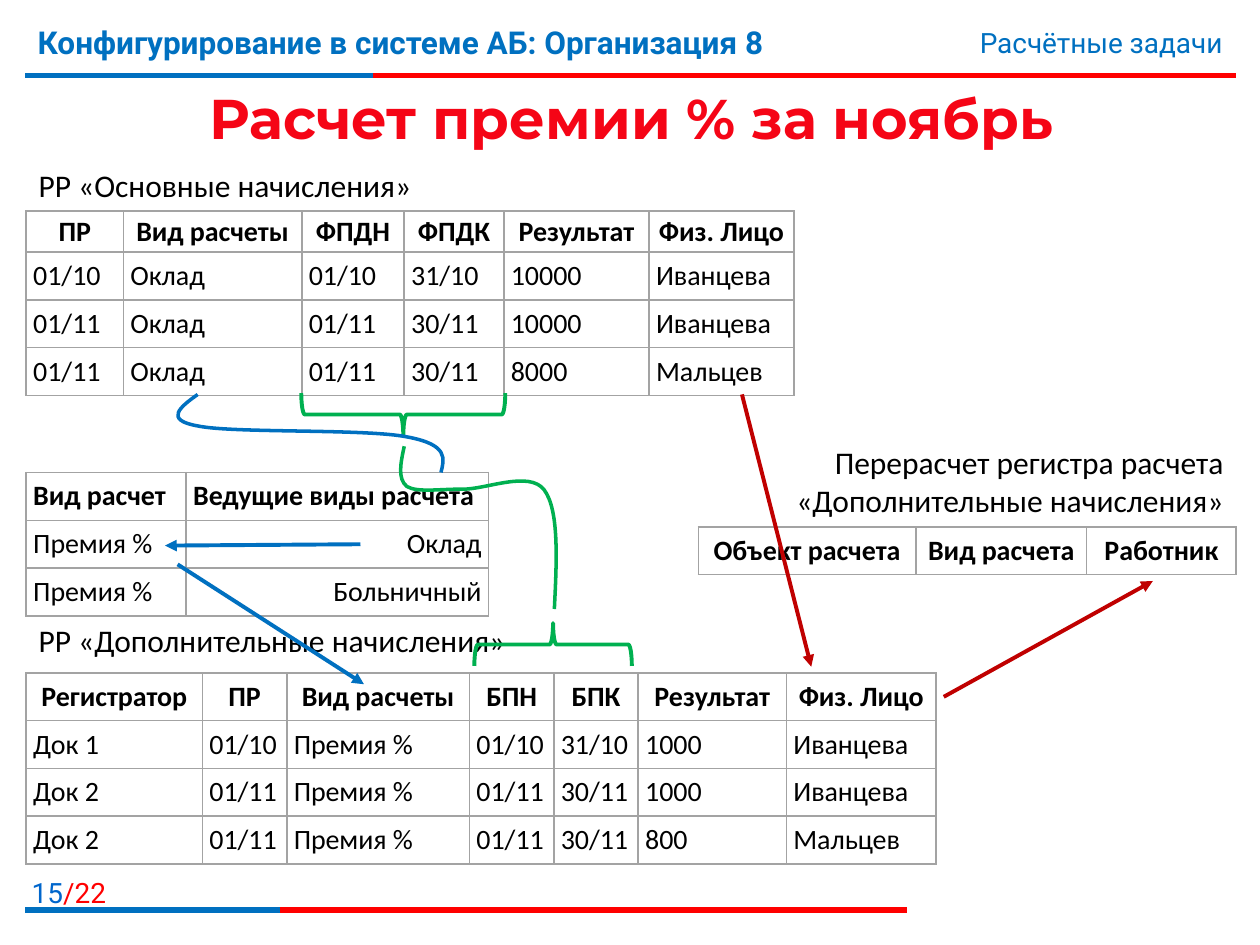
from dataclasses import dataclass

from lxml import etree
from pptx import Presentation
from pptx import util as u
from pptx.dml import color
from pptx.enum import shapes, text
from pptx.oxml import ns

Pt = u.Pt
LEFT, CENTER, RIGHT = text.PP_ALIGN.LEFT, text.PP_ALIGN.CENTER, text.PP_ALIGN.RIGHT


@dataclass(frozen=True)
class Theme:
    blue: str = "0070C0"
    number_blue: str = "0066CC"
    red: str = "FF0000"
    title_red: str = "F50516"
    dark_red: str = "C00000"
    green: str = "00B050"
    black: str = "000000"
    border: str = "A3A3A3"
    heading_font: str = "Montserrat"
    header_font: str = "Roboto"
    body_font: str = "Calibri"
    title_size: int = 32
    label_size: int = 18
    cell_size: int = 16


THEME = Theme()


def rgb(value):
    return color.RGBColor.from_string(value)


def apply(target, values):
    for name, value in values.items():
        setattr(target, name, value)


def child(parent, tag, **attributes):
    return etree.SubElement(parent, ns.qn(tag), attributes)


def format_font(font, name, size, ink, bold=False):
    apply(font, {"name": name, "size": Pt(size), "bold": bold})
    font.color.rgb = rgb(ink)


def add_title(slide, wording):
    title = slide.shapes.title
    apply(title, {"left": Pt(15), "top": Pt(45.4), "width": Pt(692), "height": Pt(43.2)})
    frame = title.text_frame
    apply(frame, {"text": wording, "vertical_anchor": text.MSO_ANCHOR.MIDDLE,
                  "auto_size": text.MSO_AUTO_SIZE.NONE})
    paragraph = frame.paragraphs[0]
    paragraph.alignment = CENTER
    font = paragraph.runs[0].font
    apply(font, {"name": THEME.heading_font, "size": Pt(THEME.title_size), "bold": True})
    font.fill.gradient()
    font.fill.gradient_angle = 270
    stops = ((0.55, THEME.title_red), (0.86, THEME.dark_red))
    for stop, (position, ink) in zip(font.fill.gradient_stops, stops):
        stop.position = position
        stop.color.rgb = rgb(ink)


def add_text(slide, box, runs, name, size, align=LEFT, bold=False):
    """Add a one-paragraph text box; runs are (wording, colour) pairs."""
    frame = slide.shapes.add_textbox(*map(Pt, box)).text_frame
    frame.word_wrap = True
    paragraph = frame.paragraphs[0]
    paragraph.alignment = align
    for wording, ink in runs:
        run = paragraph.add_run()
        run.text = wording
        format_font(run.font, name, size, ink, bold)


def add_label(slide, box, wording, align=LEFT):
    add_text(slide, box, [(wording, THEME.black)], THEME.body_font, THEME.label_size, align)


def add_line(slide, start, end, ink, width=2.25, arrow=False):
    line = slide.shapes.add_connector(
        shapes.MSO_CONNECTOR.STRAIGHT, *map(Pt, (*start, *end)))
    line.line.color.rgb = rgb(ink)
    line.line.width = Pt(width)
    if arrow:
        child(line.line._get_or_add_ln(), "a:tailEnd", type="triangle")
    child(line._element.spPr, "a:effectLst")


def add_rule(slide, top, blue_end, red_end):
    """Draw a red rule whose first part is blue."""
    for end, ink in ((red_end, THEME.red), (blue_end, THEME.blue)):
        add_line(slide, (14.5, top), (end, top), ink, 3)


def format_cell(cell, wording, align, bold, inset):
    apply(cell, {"text": wording, "margin_left": Pt(4), "margin_right": Pt(4),
                 "margin_top": Pt(inset), "margin_bottom": Pt(inset)})
    paragraph = cell.text_frame.paragraphs[0]
    paragraph.alignment = align
    format_font(paragraph.runs[0].font, THEME.body_font, THEME.cell_size, THEME.black, bold)
    properties = cell._tc.get_or_add_tcPr()
    for side in ("a:lnL", "a:lnR", "a:lnT", "a:lnB"):
        edge = child(properties, side, w=str(Pt(1)))
        child(child(edge, "a:solidFill"), "a:srgbClr", val=THEME.border)
    cell.fill.background()


def add_table(slide, left, top, widths, rows, header_align=CENTER,
              header_height=27.3, header_inset=3.9, last_align=LEFT):
    heights = [header_height] + [27.3] * (len(rows) - 1)
    table = slide.shapes.add_table(
        len(rows), len(widths), Pt(left), Pt(top), Pt(sum(widths)), Pt(sum(heights))).table
    apply(table, {"first_row": False, "horz_banding": False})
    for column, width in zip(table.columns, widths):
        column.width = Pt(width)
    for index, wordings in enumerate(rows):
        table.rows[index].height = Pt(heights[index])
        for position, wording in enumerate(wordings):
            cell = table.cell(index, position)
            if index == 0:
                format_cell(cell, wording, header_align, True, header_inset)
            else:
                align = last_align if position == len(widths) - 1 else LEFT
                format_cell(cell, wording, align, False, 3.9)


def add_brace(slide, box, rotation):
    brace = slide.shapes.add_shape(shapes.MSO_SHAPE.RIGHT_BRACE, *map(Pt, box))
    brace.rotation = rotation
    brace.shadow.inherit = False
    brace.fill.background()
    brace.line.color.rgb = rgb(THEME.green)
    brace.line.width = Pt(2.25)


def add_curve(slide, points, ink):
    """Draw a Bezier chain: a start point, then three points for each curve."""
    start, *rest = [(Pt(x), Pt(y)) for x, y in points]
    builder = slide.shapes.build_freeform(*start, scale=1.0)
    builder.add_line_segments(rest, close=False)
    curve = builder.convert_to_shape()
    outline = curve._element.find(".//" + ns.qn("a:path"))
    segments = outline.findall(ns.qn("a:lnTo"))
    for first in range(0, len(segments), 3):
        bezier = child(outline, "a:cubicBezTo")
        for segment in segments[first:first + 3]:
            bezier.append(segment[0])
            outline.remove(segment)
    curve.shadow.inherit = False
    curve.fill.background()
    curve.line.color.rgb = rgb(ink)
    curve.line.width = Pt(2)


def add_header_and_footer(slide):
    add_rule(slide, 43, 213, 706.3)
    add_rule(slide, 520, 160, 518.5)
    add_text(slide, (0, 496.8, 67.7, 23), [("15", THEME.number_blue), ("/22", THEME.red)],
             THEME.header_font, 16, RIGHT)
    add_text(slide, (14.4, 9.4, 533, 44.6),
             [("Конфигурирование в системе АБ: Организация 8", THEME.blue)],
             THEME.header_font, 18, bold=True)
    add_text(slide, (427.7, 10.8, 278, 26.6), [("Расчётные задачи", THEME.blue)],
             THEME.header_font, 16, RIGHT)


def add_registers(slide):
    add_table(slide, 15, 120.7, [55.5, 102, 58.5, 57, 83, 82.7], [
        ["ПР", "Вид расчеты", "ФПДН", "ФПДК", "Результат", "Физ. Лицо"],
        ["01/10", "Оклад", "01/10", "31/10", "10000", "Иванцева"],
        ["01/11", "Оклад", "01/11", "30/11", "10000", "Иванцева"],
        ["01/11", "Оклад", "01/11", "30/11", "8000", "Мальцев"],
    ], header_height=23.4, header_inset=1.9)
    add_label(slide, (15, 91.4, 401, 29), "РР «Основные начисления»")
    add_table(slide, 15, 384.5, [100.7, 48.2, 104.4, 48.2, 48.2, 84.7, 85.6], [
        ["Регистратор", "ПР", "Вид расчеты", "БПН", "БПК", "Результат", "Физ. Лицо"],
        ["Док 1", "01/10", "Премия %", "01/10", "31/10", "1000", "Иванцева"],
        ["Док 2", "01/11", "Премия %", "01/11", "30/11", "1000", "Иванцева"],
        ["Док 2", "01/11", "Премия %", "01/11", "30/11", "800", "Мальцев"],
    ])
    add_label(slide, (15, 351.4, 401, 29), "РР «Дополнительные начисления»")
    add_table(slide, 399, 301, [124.4, 97.6, 85.4],
              [["Объект расчета", "Вид расчета", "Работник"]])
    add_table(slide, 15, 270, [91.4, 172.8], [
        ["Вид расчет", "Ведущие виды расчета"],
        ["Премия %", "Оклад"],
        ["Премия %", "Больничный"],
    ], header_align=LEFT, last_align=RIGHT)
    add_label(slide, (399, 249.8, 307.4, 51),
              "Перерасчет регистра расчета «Дополнительные начисления»", RIGHT)


def add_links(slide):
    add_brace(slide, (218.2, 178.6, 24.5, 116.6), 90)
    add_brace(slide, (303.8, 323.3, 24.5, 90), 270)
    add_curve(slide, [(231, 255), (229, 264.5), (227, 273.5), (232.5, 278),
                      (238.5, 281.5), (250.5, 279.5), (264, 279.5),
                      (277, 280), (302.5, 268.5), (311, 280),
                      (319.5, 291.5), (318.2, 319.7), (316.8, 348)], THEME.green)
    add_curve(slide, [(113, 225.4), (103, 232.5), (93.5, 240), (113, 243.4),
                      (133, 247.7), (210, 244.8), (233.3, 249.8),
                      (256.3, 254.2), (254, 262), (252, 270)], THEME.blue)
    for start, end, ink in [
        ((424, 225.4), (463.6, 381), THEME.dark_red),
        ((539.3, 398.2), (658.8, 332), THEME.dark_red),
        ((206, 311), (94.3, 311.8), THEME.blue),
        ((101.5, 322.5), (208, 391), THEME.blue),
    ]:
        add_line(slide, start, end, ink, arrow=True)


def main():
    presentation = Presentation()
    apply(presentation, {"slide_width": Pt(720), "slide_height": Pt(540)})
    slide = presentation.slides.add_slide(presentation.slide_layouts.get_by_name("Title Only"))
    add_header_and_footer(slide)
    add_title(slide, "Расчет премии % за ноябрь")
    add_registers(slide)
    add_links(slide)
    presentation.save("out.pptx")


if __name__ == "__main__":
    main()
